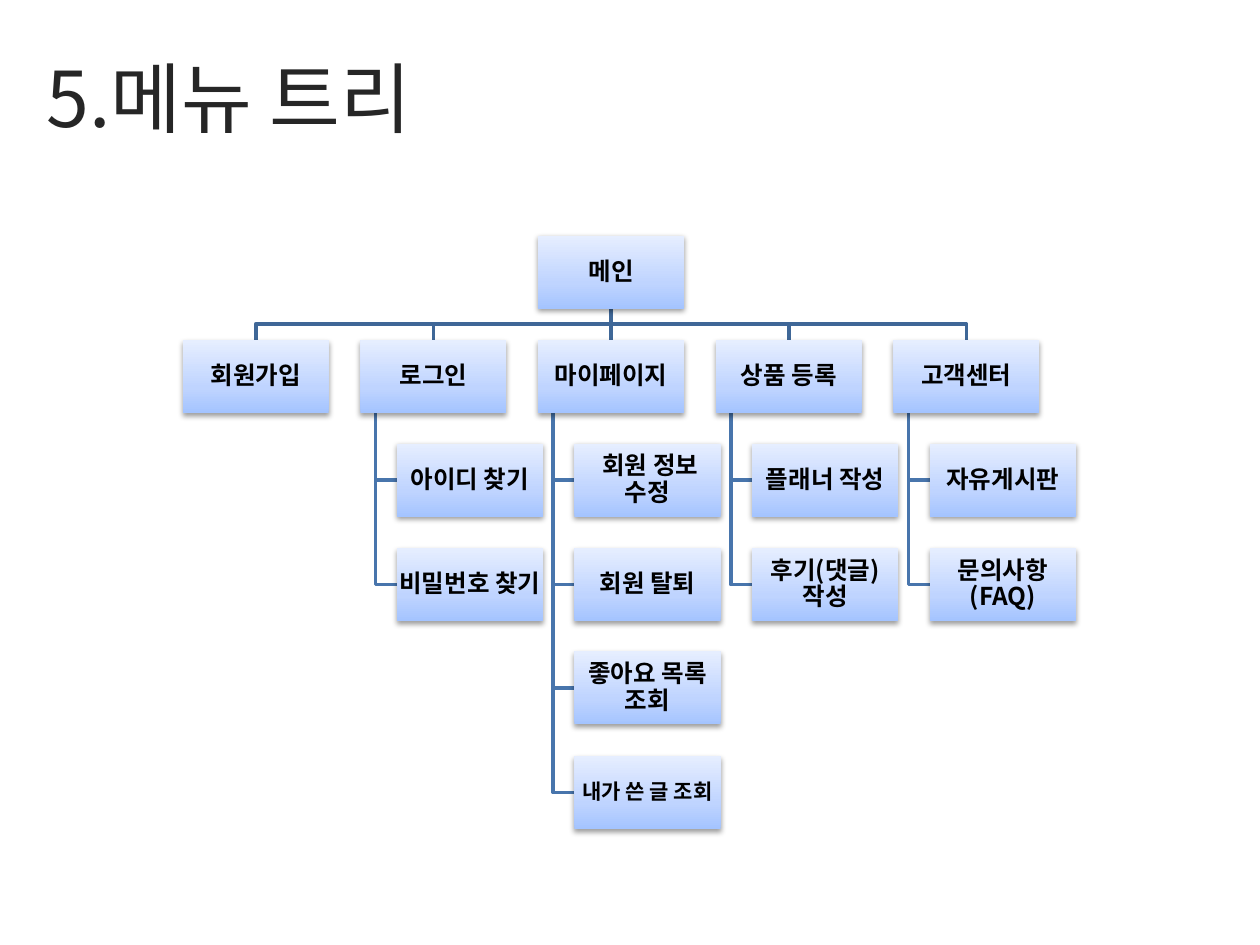
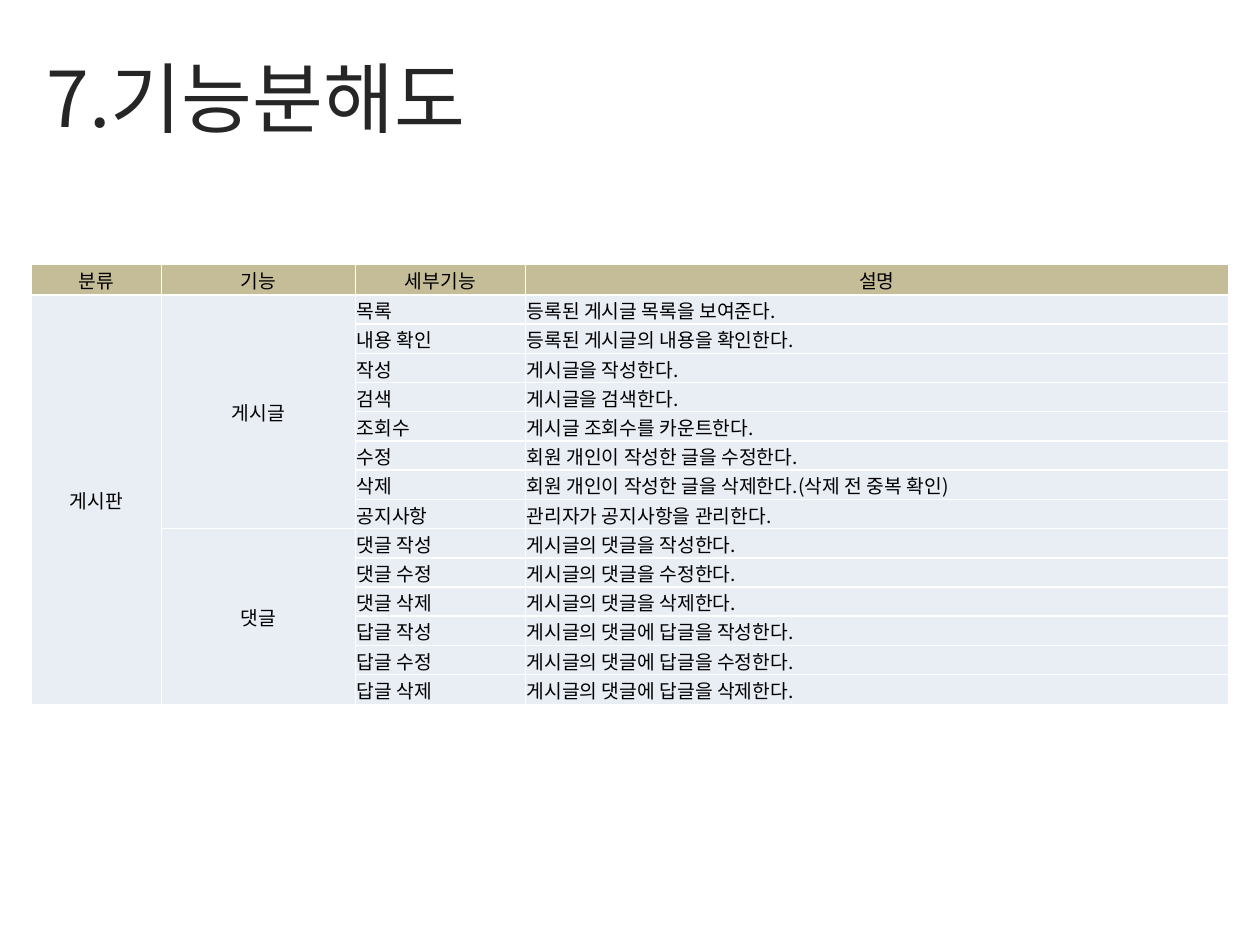
import pptx
import pptx.dml.color
import pptx.enum.shapes
import pptx.enum.text
import pptx.oxml
import pptx.oxml.ns
import pptx.util
from lxml import etree

PX = 9144  # EMU per px, 100 px to the inch
FONT = "Noto Sans CJK KR"
TITLE_COLOR, TEXT_COLOR = "262626", "000000"
TRUNK_COLOR, BRANCH_COLOR = "3F6797", "4875AC"
HEADER_FILL, BODY_FILL, BORDER_COLOR = "C4BD97", "E9EDF4", "FFFFFF"
MIDDLE = pptx.enum.text.MSO_ANCHOR.MIDDLE
CENTER = pptx.enum.text.PP_ALIGN.CENTER
LEFT = pptx.enum.text.PP_ALIGN.LEFT
NS = pptx.oxml.ns.nsdecls("a")
qn = pptx.oxml.ns.qn
rgb = pptx.dml.color.RGBColor.from_string

BOX_GRADIENT = f"""<a:gradFill {NS} rotWithShape="1"><a:gsLst>
<a:gs pos="0"><a:srgbClr val="A4C4FF"/></a:gs>
<a:gs pos="35000"><a:srgbClr val="BFD4FF"/></a:gs>
<a:gs pos="100000"><a:srgbClr val="E6EEFF"/></a:gs>
</a:gsLst><a:lin ang="16200000" scaled="1"/></a:gradFill>"""
BOX_SHADOW = f"""<a:effectLst {NS}>
<a:outerShdw blurRad="40000" dist="20000" dir="5400000" rotWithShape="0">
<a:srgbClr val="000000"><a:alpha val="38000"/></a:srgbClr>
</a:outerShdw></a:effectLst>"""


def add_span(para, text, size, color=TEXT_COLOR, bold=False):
    """Add a run in the deck font, for Latin and Korean letters alike."""
    span = para.add_run()
    span.text = text
    span.font.size = pptx.util.Pt(size)
    span.font.bold = bold
    span.font.color.rgb = rgb(color)
    span.font.name = FONT
    etree.SubElement(span._r.get_or_add_rPr(), qn("a:ea"), typeface=FONT)


def draw_line(page, points, color):
    """Draw a polyline through points given in px."""
    if len({x for x, y in points}) == 1:
        ends = [value * PX for point in (points[0], points[-1]) for value in point]
        line = page.shapes.add_connector(pptx.enum.shapes.MSO_CONNECTOR.STRAIGHT, *ends)
        etree.SubElement(line._element.spPr, qn("a:effectLst"))
    else:
        builder = page.shapes.build_freeform(*points[0], scale=PX)
        builder.add_line_segments(points[1:], close=False)
        line = builder.convert_to_shape()
        line.fill.background()
        line.shadow.inherit = False
    line.line.color.rgb = rgb(color)
    line.line.width = pptx.util.Pt(2)


deck = pptx.Presentation()
deck.slide_width, deck.slide_height = 1000 * PX, 750 * PX

pages = []
for heading in ("5.메뉴 트리", "7.기능분해도"):
    page = deck.slides.add_slide(deck.slide_layouts[5])
    title = page.shapes.title
    title.left, title.top, title.width, title.height = 27 * PX, 37 * PX, 949 * PX, 79 * PX
    title.text_frame.auto_size = pptx.enum.text.MSO_AUTO_SIZE.NONE
    title.text_frame.vertical_anchor = MIDDLE
    para = title.text_frame.paragraphs[0]
    para.alignment = LEFT
    add_span(para, heading, 44, TITLE_COLOR)
    pages.append(page)
tree_page, table_page = pages

# Menu tree
MENUS = {
    "회원가입": [],
    "로그인": ["아이디 찾기", "비밀번호 찾기"],
    "마이페이지": [" 회원 정보 수정", "회원 탈퇴", "좋아요 목록 조회", "내가 쓴 글 조회"],
    "상품 등록": ["플래너 작성", "후기(댓글) 작성"],
    "고객센터": ["자유게시판", "문의사항(FAQ)"],
}
BOX_WIDTH, BOX_HEIGHT = 116, 58
MENU_LEFT, MENU_PITCH = 145, 141
CHILD_INDENT, BRANCH_INDENT = 29, 12
row_tops = [(375 + 165 * row) // 2 for row in range(6)]
main_left = MENU_LEFT + 2 * MENU_PITCH
main_center = main_left + BOX_WIDTH // 2
main_bottom, menu_bottom = row_tops[0] + BOX_HEIGHT, row_tops[1] + BOX_HEIGHT
bus = (main_bottom + row_tops[1]) // 2

nodes = [("메인", main_left, row_tops[0])]
for column, (menu, children) in enumerate(MENUS.items()):
    left = MENU_LEFT + column * MENU_PITCH
    center = left + BOX_WIDTH // 2
    nodes.append((menu, left, row_tops[1]))
    draw_line(tree_page, [(main_center, main_bottom), (main_center, bus),
                          (center, bus), (center, row_tops[1])], TRUNK_COLOR)
    for child, top in zip(children, row_tops[2:]):
        child_left, branch = left + CHILD_INDENT, left + BRANCH_INDENT
        middle = top + BOX_HEIGHT // 2
        nodes.append((child, child_left, top))
        draw_line(tree_page, [(branch, menu_bottom), (branch, middle),
                              (child_left, middle)], BRANCH_COLOR)

for label, left, top in nodes:
    box = tree_page.shapes.add_shape(pptx.enum.shapes.MSO_SHAPE.RECTANGLE, left * PX, top * PX,
                                     BOX_WIDTH * PX, BOX_HEIGHT * PX)
    box.line.fill.background()
    properties = box._element.spPr
    properties.insert(2, pptx.oxml.parse_xml(BOX_GRADIENT))
    properties.append(pptx.oxml.parse_xml(BOX_SHADOW))
    frame = box.text_frame
    frame.word_wrap = True
    frame.vertical_anchor = MIDDLE
    frame.margin_left = frame.margin_right = frame.margin_top = frame.margin_bottom = PX
    para = frame.paragraphs[0]
    para.alignment = CENTER
    para.line_spacing = 0.9
    add_span(para, label, 12 if label == "내가 쓴 글 조회" else 14, bold=True)

# Function table
HEADERS = ("분류", "기능", "세부기능", "설명")
FUNCTIONS = {
    "게시글": [
        ("목록", "등록된 게시글 목록을 보여준다."),
        ("내용 확인", "등록된 게시글의 내용을 확인한다."),
        ("작성", "게시글을 작성한다."),
        ("검색", "게시글을 검색한다."),
        ("조회수", "게시글 조회수를 카운트한다."),
        ("수정", "회원 개인이 작성한 글을 수정한다."),
        ("삭제", "회원 개인이 작성한 글을 삭제한다.(삭제 전 중복 확인)"),
        ("공지사항", "관리자가 공지사항을 관리한다."),
    ],
    "댓글": [
        ("댓글 작성", "게시글의 댓글을 작성한다."),
        ("댓글 수정", "게시글의 댓글을 수정한다."),
        ("댓글 삭제", "게시글의 댓글을 삭제한다."),
        ("답글 작성", "게시글의 댓글에 답글을 작성한다."),
        ("답글 수정", "게시글의 댓글에 답글을 수정한다."),
        ("답글 삭제", "게시글의 댓글에 답글을 삭제한다."),
    ],
}
rows = [HEADERS]
spans = []
for function, details in FUNCTIONS.items():
    spans.append((len(rows), len(rows) + len(details) - 1))
    for index, detail in enumerate(details):
        rows.append(("게시판" if len(rows) == 1 else "", "" if index else function, *detail))

table = table_page.shapes.add_table(len(rows), len(HEADERS), 25 * PX, 210 * PX,
                                    950 * PX, 346 * PX).table
table.first_row = table.horz_banding = False
for column, width in zip(table.columns, (103, 154, 135, 558)):
    column.width = width * PX
for r, texts in enumerate(rows):
    table.rows[r].height = (24 if r in (0, len(rows) - 1) else 23) * PX
    for c, text in enumerate(texts):
        cell = table.cell(r, c)
        cell.vertical_anchor = MIDDLE
        cell.margin_left = cell.margin_right = cell.margin_top = PX
        cell.margin_bottom = 0
        for side in "LRTB":
            cell._tc.get_or_add_tcPr().append(pptx.oxml.parse_xml(
                f'<a:ln{side} {NS} w="12700"><a:solidFill><a:srgbClr val="{BORDER_COLOR}"/>'
                f'</a:solidFill></a:ln{side}>'))
        cell.fill.solid()
        cell.fill.fore_color.rgb = rgb(BODY_FILL if r else HEADER_FILL)
        para = cell.text_frame.paragraphs[0]
        para.alignment = CENTER if r == 0 or c < 2 else LEFT
        if text:
            add_span(para, text, 11)
        else:
            para.font.size = pptx.util.Pt(11)
table.cell(1, 0).merge(table.cell(len(rows) - 1, 0))
for first, last in spans:
    table.cell(first, 1).merge(table.cell(last, 1))

deck.save("out.pptx")
